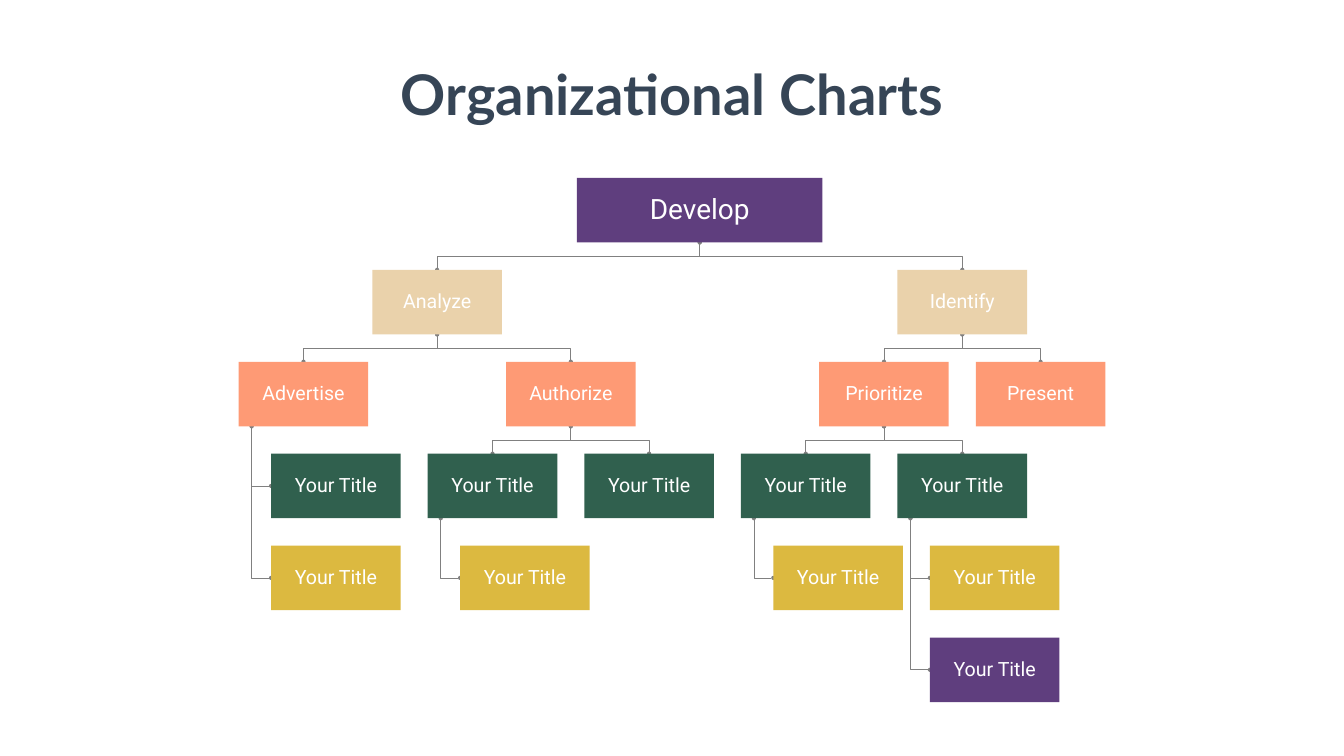
import pptx
import pptx.util
import pptx.dml.color
import pptx.enum.shapes
import pptx.enum.text
import pptx.oxml
import pptx.oxml.ns
from dataclasses import dataclass, field

inch = pptx.util.Inches
WIDE, HIGH = 26.66, 15
COLORS = {"title": "364556", "text": "FFFFFF", "line": "808080",
          "plum": "5F3E7E", "sand": "EAD2AB", "coral": "FE9A75",
          "green": "30604E", "gold": "DCB940"}
LEVELS = ["plum", "sand", "coral", "green", "gold"]  # one per row, then again

# Grid: column centres and row tops, in inches
COL0, COL = 9.77, 1.553
ROW0, ROW = 3.53, 1.824
BOX_W, BOX_H, ROOT_W = 2.57, 1.28, 4.87
TRUNK, INDENT = 0.1, 0.25  # shares of box width, for hanging branches


@dataclass
class Node:
    text: str
    col: float = 0
    kids: list = field(default_factory=list)
    hang: bool = False  # children stacked below, off a side trunk
    row: int = 0
    wide: float = BOX_W

    @property
    def left(self):
        return COL0 + self.col * COL - self.wide / 2

    @property
    def top(self):
        return ROW0 + self.row * ROW

    @property
    def mid(self):
        return self.left + self.wide / 2


def leaf(col=0, hung=0):
    kids = [Node("Your Title") for _ in range(hung)]
    return Node("Your Title", col, kids, hung > 0)


def make_tree():
    ads = Node("Advertise", -2.415, [leaf(), leaf()], True)
    auth = Node("Authorize", kids=[leaf(0, 1), leaf(2)])
    prior = Node("Prioritize", kids=[leaf(4, 1), leaf(6, 2)])
    return Node("Develop", wide=ROOT_W, kids=[
        Node("Analyze", kids=[ads, auth]),
        Node("Identify", kids=[prior, Node("Present", 7)])])


def place(node, row=0):
    """Set rows downward and centre each parent over its children."""
    node.row = row
    for i, kid in enumerate(node.kids):
        if node.hang:
            kid.col = node.col + INDENT * BOX_W / COL
        place(kid, row + 1 + (i if node.hang else 0))
    if node.kids and not node.hang:
        node.col = (node.kids[0].col + node.kids[-1].col) / 2


def walk(node):
    yield node
    for kid in node.kids:
        yield from walk(kid)


def paint(part, name):
    part.solid()
    part.fore_color.rgb = pptx.dml.color.RGBColor.from_string(COLORS[name])


def style(shape, text, size, face, color, bold, frame):
    for key, val in frame.items():
        setattr(shape.text_frame, key, val)
    para = shape.text_frame.paragraphs[0]
    para.text = text
    para.alignment = pptx.enum.text.PP_ALIGN.CENTER
    font = para.runs[0].font
    for key, val in {"size": pptx.util.Pt(size), "name": face, "bold": bold}.items():
        setattr(font, key, val)
    paint(font.fill, color)
    return para


def add_title(slide, text):
    title = slide.shapes.title
    wide = 11.26
    spot = {"left": (WIDE - wide) / 2, "top": 1.12, "width": wide, "height": 1.45}
    for key, val in spot.items():
        setattr(title, key, inch(val))
    style(title, text, 80, "Lato", "title", True, {
        "word_wrap": False,
        "auto_size": pptx.enum.text.MSO_AUTO_SIZE.SHAPE_TO_FIT_TEXT})


def add_box(slide, node):
    box = slide.shapes.add_shape(
        pptx.enum.shapes.MSO_SHAPE.RECTANGLE, inch(node.left), inch(node.top),
        inch(node.wide), inch(BOX_H))
    box.shadow.inherit = False
    paint(box.fill, LEVELS[node.row % len(LEVELS)])
    box.line.fill.background()
    frame = dict.fromkeys(
        ["margin_left", "margin_top", "margin_right", "margin_bottom"], inch(0.02))
    frame.update(word_wrap=True, vertical_anchor=pptx.enum.text.MSO_ANCHOR.MIDDLE)
    size = 40 if node.row == 0 else 28
    para = style(box, node.text, size, "Roboto", "text", False, frame)
    para.line_spacing = 0.9


def add_link(slide, node, kid):
    base = node.top + BOX_H
    if node.hang:
        x, y = node.left + TRUNK * BOX_W, kid.top + BOX_H / 2
        dots = [(x, base), (x, y), (kid.left, y)]
    else:
        turn = (base + kid.top) / 2
        dots = [(node.mid, base), (node.mid, turn), (kid.mid, turn), (kid.mid, kid.top)]
    dots = [(inch(x), inch(y)) for x, y in dots]
    path = slide.shapes.build_freeform(*dots[0])
    path.add_line_segments(dots[1:], close=False)
    link = path.convert_to_shape()
    link.shadow.inherit = False
    link.fill.background()
    paint(link.line.fill, "line")
    link.line.width = pptx.util.Pt(1)
    # Round dots at both ends
    for tag in ("headEnd", "tailEnd"):
        link.line._get_or_add_ln().append(pptx.oxml.parse_xml(
            f'<a:{tag} {pptx.oxml.ns.nsdecls("a")} type="oval"/>'))


def main():
    deck = pptx.Presentation()
    deck.slide_width, deck.slide_height = inch(WIDE), inch(HIGH)
    slide = deck.slides.add_slide(deck.slide_layouts[5])
    tree = make_tree()
    place(tree)
    # Links lie behind the boxes
    for node in walk(tree):
        for kid in node.kids:
            add_link(slide, node, kid)
    for node in walk(tree):
        add_box(slide, node)
    add_title(slide, "Organizational Charts")
    deck.save("out.pptx")


if __name__ == "__main__":
    main()
